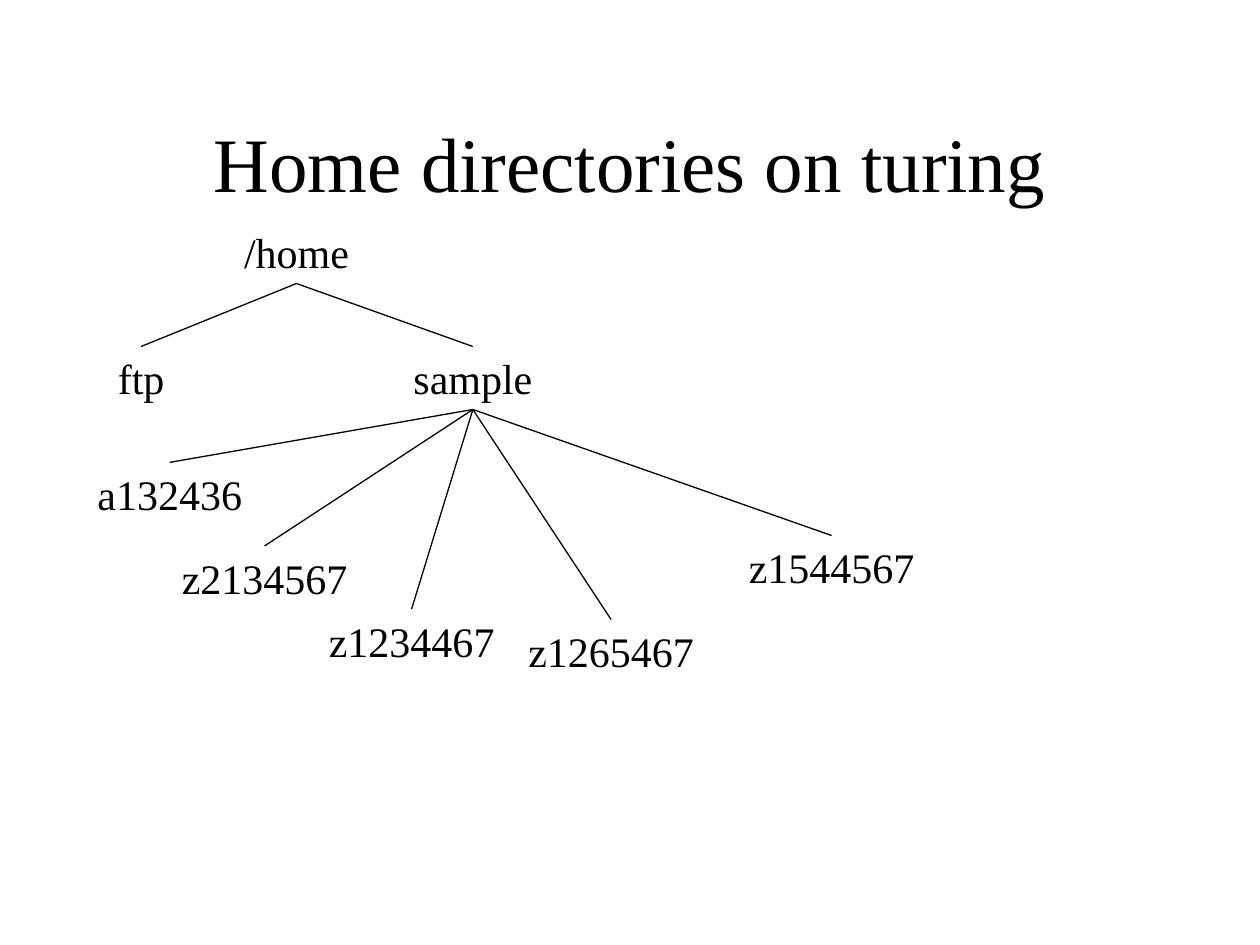
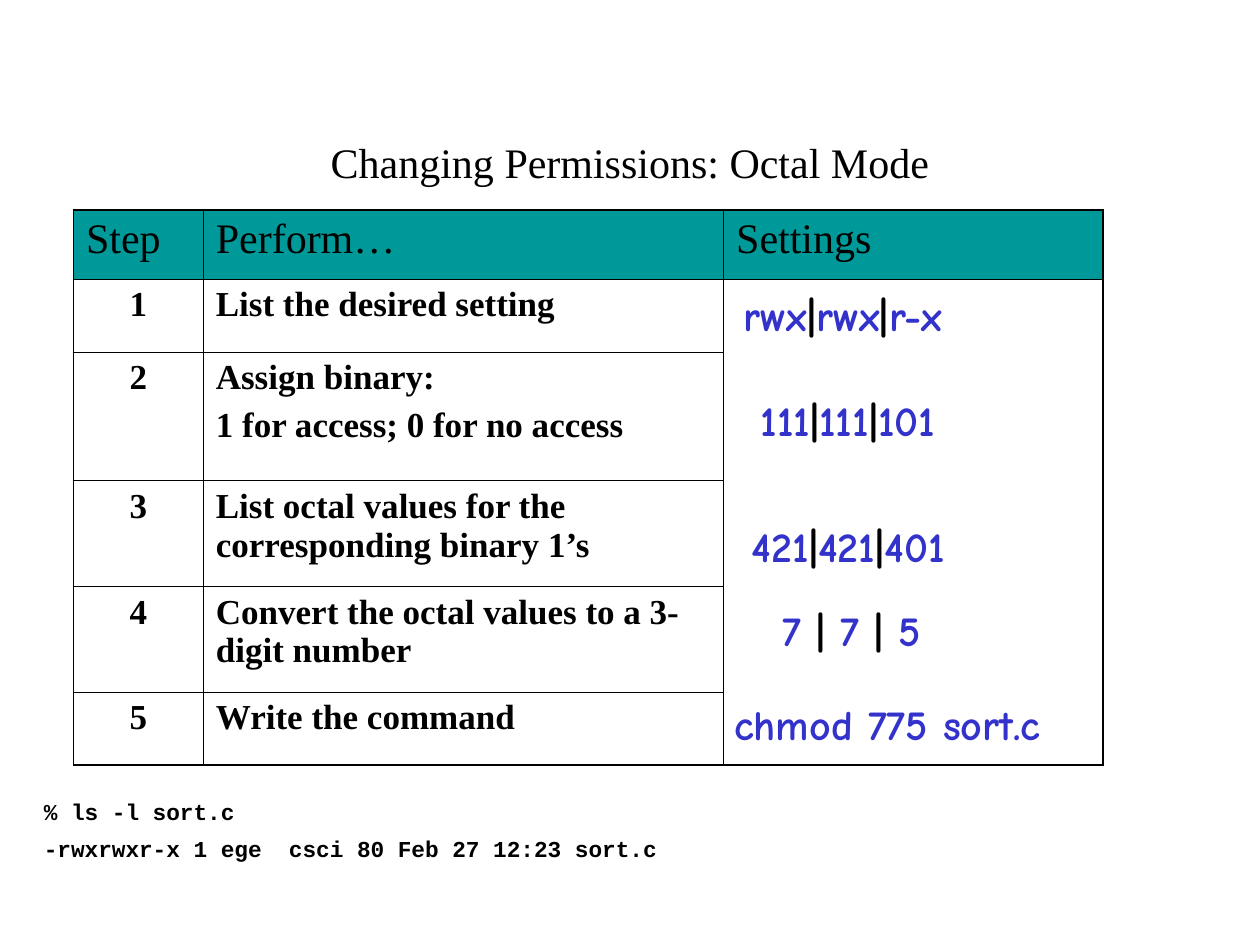
"""Build two slides: a home directory tree and a table of octal permission steps."""
from dataclasses import dataclass
from itertools import groupby

from lxml import etree
from pptx import Presentation
from pptx import util as u
from pptx.dml.color import RGBColor
from pptx.enum import shapes, text
from pptx.oxml.ns import qn

COLORS = {"ink": "000000", "paper": "FFFFFF", "header": "009999", "setting": "3333CC"}
BODY, HAND, CODE = "Times New Roman", "Comic Neue", "Courier New"
SLIDE_WIDTH, SLIDE_HEIGHT = u.Inches(10), u.Inches(7.5)
COLUMNS, ROWS = 100, 75
LABEL_HEIGHT = 5
INNER_LINE, OUTER_LINE = u.Pt(0.45), u.Pt(1.08)

NODES = {
    "/home": (16.83, 0, 10.5),
    "ftp": (4.5, 10, 5.9),
    "sample": (30.83, 10, 11.8),
    "a132436": (6.77, 19.2, 13.8),
    "z2134567": (14.3, 25.83, 15.5),
    "z1234467": (25.97, 30.83, 15.5),
    "z1265467": (41.8, 31.67, 15.5),
    "z1544567": (59.3, 25, 15.5),
}
CHILDREN = {
    "/home": ["ftp", "sample"],
    "sample": ["a132436", "z2134567", "z1234467", "z1265467", "z1544567"],
}
HEADINGS = ["Step", "Perform…", "Settings"]
STEPS = [
    ["List the desired setting"],
    ["Assign binary:", "1 for access; 0 for no access"],
    ["List octal values for the corresponding binary 1’s"],
    ["Convert the octal values to a 3-digit number"],
    ["Write the command"],
]
COLUMN_WIDTHS = [10.3, 41.3, 30.1]
ROW_HEIGHTS = [5.5, 5.8, 10.2, 8.4, 8.4, 5.8]
SETTINGS = [
    ("rwx|rwx|r-x", 61.07, 5.83, 18.3),
    ("111|111|101", 61.47, 14.17, 16.2),
    ("421|421|401", 61.5, 24.17, 17.7),
    ("7 | 7 | 5", 61.77, 30.83, 13.4),
    ("chmod 775 sort.c", 64.6, 38.33, 26.7),
]
LISTING = ["% ls -l sort.c", "-rwxrwxr-x 1 ege  csci 80 Feb 27 12:23 sort.c"]


@dataclass
class Box:
    """A region of the slide in grid columns and rows."""
    left: float
    top: float
    width: float
    height: float

    def centered(self, center, top, width, height):
        """Return a box placed relative to this one by its horizontal centre."""
        return Box(self.left + center - width / 2, self.top + top, width, height)

    def lengths(self):
        """Return left, top, width and height as slide lengths."""
        return (across(self.left), down(self.top), across(self.width), down(self.height))


def across(columns):
    """Convert grid columns to a length."""
    return round(SLIDE_WIDTH * columns / COLUMNS)


def down(rows):
    """Convert grid rows to a length."""
    return round(SLIDE_HEIGHT * rows / ROWS)


def color(name):
    """Look up a named colour."""
    return RGBColor.from_string(COLORS[name])


def add_run(paragraph, words, size, font=BODY, ink="ink", bold=False):
    """Append one styled run to a paragraph."""
    run = paragraph.add_run()
    run.text = words
    run.font.size = u.Pt(size)
    run.font.name = font
    run.font.bold = bold
    run.font.color.rgb = color(ink)


def add_lines(frame, lines, spacing, **style):
    """Write one paragraph per line, spaced after the first."""
    paragraphs = []
    for index, words in enumerate(lines):
        paragraph = frame.add_paragraph() if index else frame.paragraphs[0]
        if index:
            paragraph.space_before = u.Pt(spacing)
        add_run(paragraph, words, **style)
        paragraphs.append(paragraph)
    return paragraphs


def add_label(slide, box):
    """Add an unwrapped, centred text box and return it."""
    shape = slide.shapes.add_textbox(*box.lengths())
    shape.text_frame.word_wrap = False
    shape.text_frame.auto_size = text.MSO_AUTO_SIZE.SHAPE_TO_FIT_TEXT
    shape.text_frame.paragraphs[0].alignment = text.PP_ALIGN.CENTER
    return shape


def add_title(slide, words, size):
    """Add the title that both slides share."""
    shape = slide.shapes.add_textbox(*Box(7.5, 6.6, 85, 12.5).lengths())
    frame = shape.text_frame
    frame.word_wrap = True
    frame.vertical_anchor = text.MSO_ANCHOR.MIDDLE
    frame.paragraphs[0].alignment = text.PP_ALIGN.CENTER
    add_run(frame.paragraphs[0], words, size)


def add_branch(slide, parent, child):
    """Join the bottom of a parent to the top of its child."""
    branch = slide.shapes.add_connector(shapes.MSO_CONNECTOR.STRAIGHT, 0, 0, 0, 0)
    branch.begin_connect(parent, 2)
    branch.end_connect(child, 0)
    branch.line.color.rgb = color("ink")
    branch.line.width = u.Pt(0.75)
    etree.SubElement(branch._element.spPr, qn("a:effectLst"))


def add_tree(slide, box):
    """Place the directory names and the branches between them."""
    labels = {}
    for name, (center, top, width) in NODES.items():
        label = add_label(slide, box.centered(center, top, width, LABEL_HEIGHT))
        add_run(label.text_frame.paragraphs[0], name, 24)
        labels[name] = label
    for parent, children in CHILDREN.items():
        for child in children:
            add_branch(slide, labels[parent], labels[child])


def add_borders(cell, outer):
    """Draw four cell borders, heavier on the outer sides."""
    properties = cell._tc.get_or_add_tcPr()
    for side in "LRTB":
        width = OUTER_LINE if side in outer else INNER_LINE
        line = etree.SubElement(properties, qn(f"a:ln{side}"), w=str(width))
        fill = etree.SubElement(line, qn("a:solidFill"))
        etree.SubElement(fill, qn("a:srgbClr"), val=COLORS["ink"])


def outer_sides(row, column):
    """Name the sides of a cell that lie on the table's edge."""
    last_row, last_column = len(ROW_HEIGHTS) - 1, len(COLUMN_WIDTHS) - 1
    edges = {
        "L": column == 0,
        "T": row == 0,
        "R": column == last_column,
        "B": row == last_row or (row > 0 and column == last_column),
    }
    return [side for side, on_edge in edges.items() if on_edge]


def add_steps(slide, box):
    """Build the table of steps with one merged settings cell."""
    frame = slide.shapes.add_table(len(ROW_HEIGHTS), len(COLUMN_WIDTHS), *box.lengths())
    table = frame.table
    table.first_row = table.horz_banding = False
    for column, width in zip(table.columns, COLUMN_WIDTHS):
        column.width = across(width)
    for row, height in zip(table.rows, ROW_HEIGHTS):
        row.height = down(height)
    table.cell(1, 2).merge(table.cell(len(STEPS), 2))

    for row in range(len(ROW_HEIGHTS)):
        for column in range(len(COLUMN_WIDTHS)):
            cell = table.cell(row, column)
            if cell.is_spanned:
                continue
            add_borders(cell, outer_sides(row, column))
            if row == 0:
                cell.fill.solid()
                cell.fill.fore_color.rgb = color("header")
            else:
                cell.fill.background()

    for column, heading in enumerate(HEADINGS):
        add_lines(table.cell(0, column).text_frame, [heading], 0, size=24)
    for number, lines in enumerate(STEPS, 1):
        step = add_lines(table.cell(number, 0).text_frame, [str(number)], 0, size=20, bold=True)
        step[0].alignment = text.PP_ALIGN.CENTER
        add_lines(table.cell(number, 1).text_frame, lines, 5, size=20, bold=True)


def add_settings(slide, box):
    """Write the settings over the merged cell, with dark dividers."""
    for words, center, top, width in SETTINGS:
        label = add_label(slide, box.centered(center, top, width, LABEL_HEIGHT))
        for divider, letters in groupby(words, lambda letter: letter == "|"):
            ink = "ink" if divider else "setting"
            add_run(label.text_frame.paragraphs[0], "".join(letters), 24, HAND, ink, True)


def add_listing(slide, box):
    """Write the terminal lines in a fixed-width font."""
    frame = slide.shapes.add_textbox(*box.lengths()).text_frame
    frame.word_wrap = True
    for paragraph in add_lines(frame, LISTING, 8.5, size=13, font=CODE, bold=True):
        paragraph.line_spacing = 0.8


def add_slide(presentation):
    """Add a blank slide with the shared background."""
    slide = presentation.slides.add_slide(presentation.slide_layouts[6])
    slide.background.fill.solid()
    slide.background.fill.fore_color.rgb = color("paper")
    return slide


def build_directories(presentation):
    """Build the home directories slide."""
    slide = add_slide(presentation)
    add_title(slide, "Home directories on turing", 44)
    add_tree(slide, Box(6.7, 17.5, 66.8, 36.7))


def build_permissions(presentation):
    """Build the octal permissions slide."""
    slide = add_slide(presentation)
    table_box = Box(5.83, 16.65, sum(COLUMN_WIDTHS), sum(ROW_HEIGHTS))
    add_listing(slide, Box(2.5, 63.25, 90, 7.3))
    add_steps(slide, table_box)
    add_title(slide, "Changing Permissions: Octal Mode", 24)
    add_settings(slide, table_box)


def main():
    """Build and save the presentation."""
    presentation = Presentation()
    presentation.slide_width, presentation.slide_height = SLIDE_WIDTH, SLIDE_HEIGHT
    build_directories(presentation)
    build_permissions(presentation)
    presentation.save("out.pptx")


if __name__ == "__main__":
    main()
